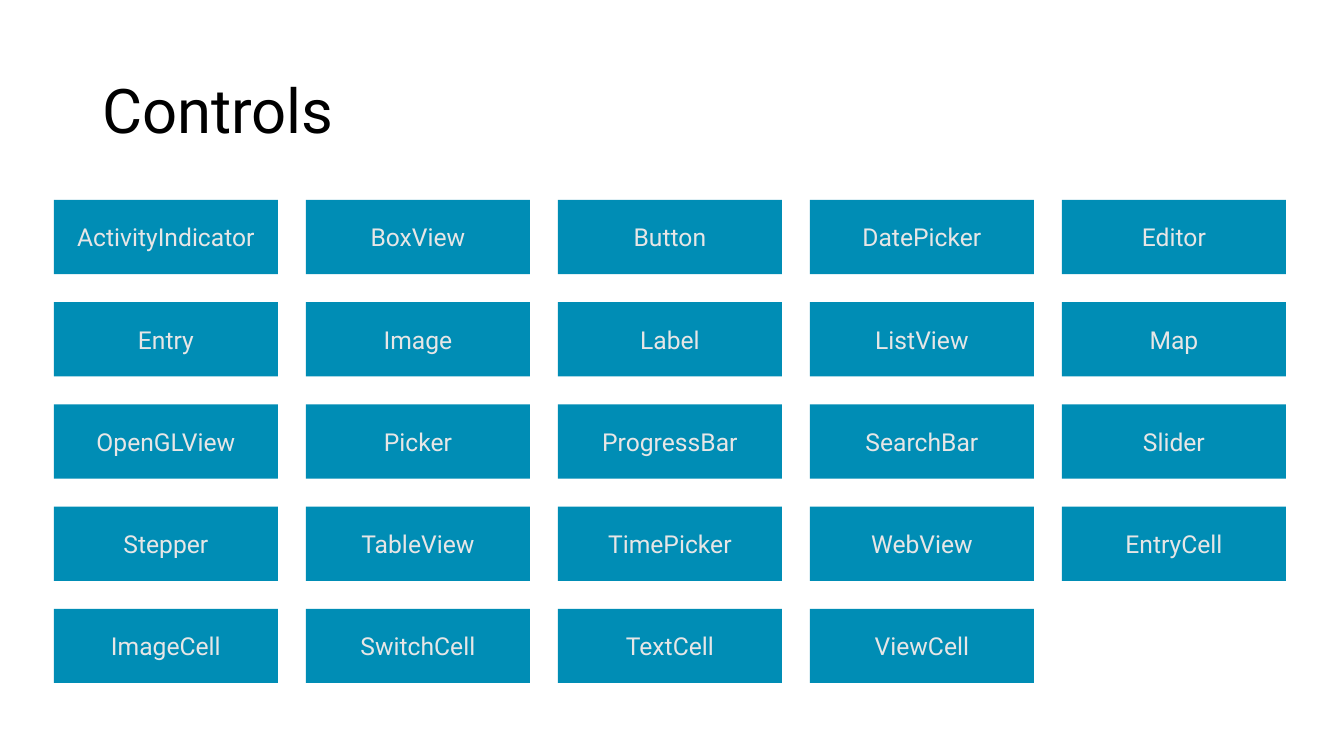
from pptx import Presentation
from pptx.dml.color import RGBColor
from pptx.enum.shapes import MSO_SHAPE
from pptx.enum.text import MSO_ANCHOR, PP_ALIGN
from pptx.util import Emu, Pt

EMU_PER_PX = 914400 / 100.8
FONT = "Roboto"
TITLE_FORMAT = {"name": FONT, "size": Pt(44), "bold": False}
TILE_FORMAT = {"name": FONT, "size": Pt(17.6), "bold": False}
TILE_FILL, TILE_TEXT, TITLE_TEXT = "008DB5", "E7E6E6", "000000"
COLUMNS = 5
CONTROLS = [
    "ActivityIndicator", "BoxView", "Button", "DatePicker", "Editor",
    "Entry", "Image", "Label", "ListView", "Map",
    "OpenGLView", "Picker", "ProgressBar", "SearchBar", "Slider",
    "Stepper", "TableView", "TimePicker", "WebView", "EntryCell",
    "ImageCell", "SwitchCell", "TextCell", "ViewCell",
]


def px(length):
    return Emu(round(length * EMU_PER_PX))


def color(hex_string):
    return RGBColor.from_string(hex_string)


def write_text(shape, text, font_format, text_color, align):
    """Fill a shape with one vertically centred paragraph and return it."""
    frame = shape.text_frame
    frame.word_wrap = True
    frame.vertical_anchor = MSO_ANCHOR.MIDDLE
    para = frame.paragraphs[0]
    para.alignment = align
    span = para.add_run()
    span.text = text
    for name, value in font_format.items():
        setattr(span.font, name, value)
    span.font.color.rgb = color(text_color)
    return para


def place_title(page, text, left, top, width, height):
    title = page.shapes.title
    title.left, title.top = px(left), px(top)
    title.width, title.height = px(width), px(height)
    para = write_text(title, text, TITLE_FORMAT, TITLE_TEXT, PP_ALIGN.LEFT)
    para.line_spacing = 0.9


def add_tile(page, text, left, top, width, height):
    tile = page.shapes.add_shape(
        MSO_SHAPE.ROUNDED_RECTANGLE, px(left), px(top), px(width), px(height))
    tile.adjustments[0] = 0
    tile.shadow.inherit = False
    tile.fill.solid()
    tile.fill.fore_color.rgb = color(TILE_FILL)
    tile.line.fill.background()
    write_text(tile, text, TILE_FORMAT, TILE_TEXT, PP_ALIGN.CENTER)


def add_tile_grid(page, labels, left, top, width, height, gap):
    """Lay labels out row by row in equal tiles that fill the given box."""
    rows = -(-len(labels) // COLUMNS)
    tile_width = (width - gap * (COLUMNS - 1)) / COLUMNS
    tile_height = (height - gap * (rows - 1)) / rows
    for index, label in enumerate(labels):
        row, column = divmod(index, COLUMNS)
        add_tile(page, label,
                 left + column * (tile_width + gap),
                 top + row * (tile_height + gap),
                 tile_width, tile_height)


def main():
    deck = Presentation()
    deck.slide_width, deck.slide_height = px(1344), px(756)
    page = deck.slides.add_slide(deck.slide_layouts.get_by_name("Title Only"))
    place_title(page, "Controls", left=92, top=41, width=1159, height=146)
    add_tile_grid(page, CONTROLS, left=54, top=200, width=1232, height=483, gap=28)
    deck.save("out.pptx")


if __name__ == "__main__":
    main()
